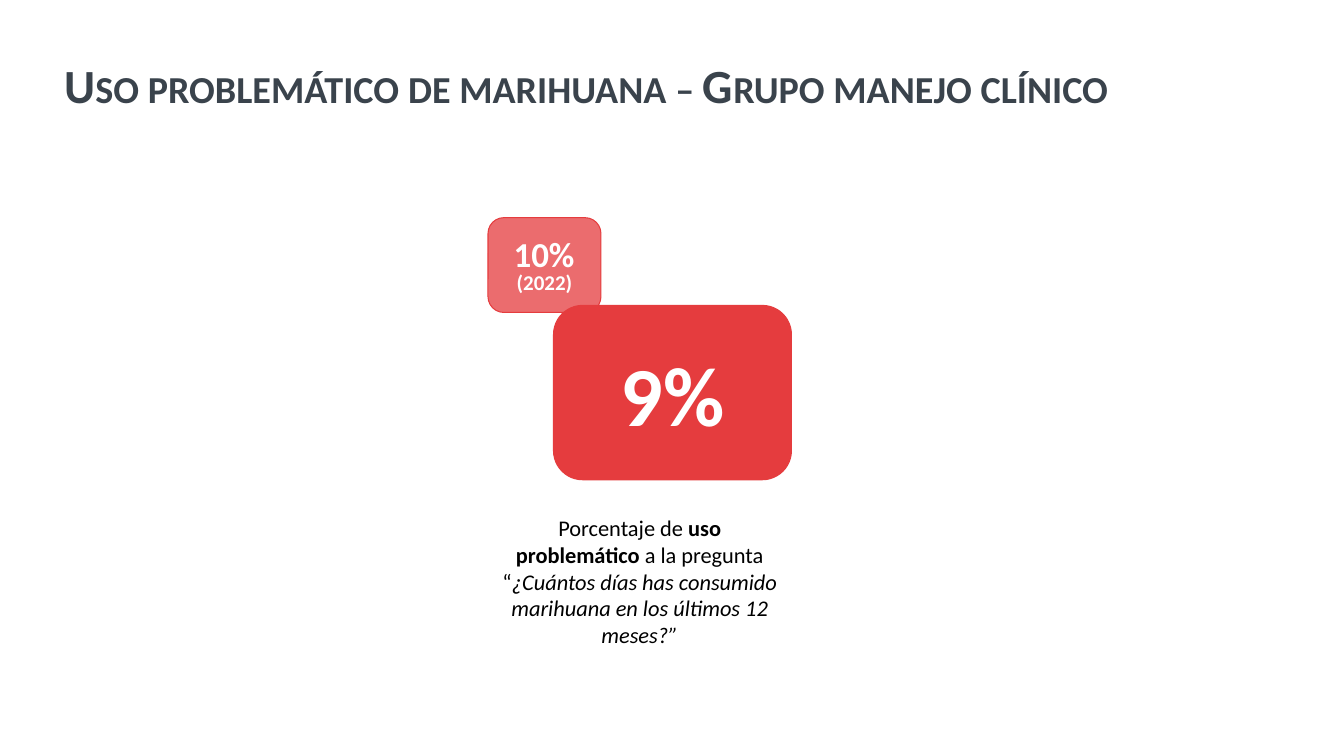
from dataclasses import dataclass

from pptx import Presentation
from pptx.dml.color import RGBColor
from pptx.enum.shapes import MSO_SHAPE as Shape
from pptx.enum.text import MSO_ANCHOR as Anchor, PP_ALIGN as Align
from pptx.oxml.ns import qn
from pptx.util import Pt
from lxml.etree import SubElement

PX = 9144  # EMU per px, 100 px to the inch
FONT = "Calibri"
RED = RGBColor(0xE5, 0x3C, 0x3E)
SLATE = RGBColor(0x3A, 0x43, 0x4C)
WHITE = RGBColor(0xFF, 0xFF, 0xFF)
BLACK = RGBColor(0x00, 0x00, 0x00)


@dataclass
class Run:
    text: str
    size: int
    color: RGBColor
    bold: bool = False
    ital: bool = False
    caps: bool = False


@dataclass
class Block:
    left: int
    top: int
    width: int
    height: int
    runs: list[Run]
    align: Align = Align.CENTER
    anchor: Anchor = Anchor.TOP
    lines: float = 1.0
    foot: int = 5
    wrap: bool = True
    card: bool = False
    alpha: int = 100


def paint(shape, alpha: int) -> None:
    """Give a card its red fill and line."""
    shape.shadow.inherit = False
    shape.adjustments[0] = 0.167
    shape.fill.solid()
    shape.fill.fore_color.rgb = RED
    if alpha < 100:
        color = shape.fill._xPr.find(qn("a:solidFill"))[0]
        SubElement(color, qn("a:alpha")).set("val", str(alpha * 1000))
    shape.line.color.rgb = RED
    shape.line.width = Pt(0.75)


def write(frame, block: Block) -> None:
    """Fill a text frame run by run."""
    frame.word_wrap = block.wrap
    frame.vertical_anchor = block.anchor
    frame.margin_left = frame.margin_right = 10 * PX
    frame.margin_top = 5 * PX
    frame.margin_bottom = block.foot * PX
    para = frame.paragraphs[0]
    para.alignment = block.align
    para.line_spacing = block.lines
    for part in block.runs:
        run = para.add_run()
        run.text = part.text
        font = run.font
        font.name = FONT
        font.size = Pt(part.size)
        font.bold = part.bold
        font.italic = part.ital
        font.color.rgb = part.color
        if part.caps:
            font._element.set("cap", "small")


def draw(slide, block: Block) -> None:
    """Place one block, as a card or as plain text."""
    area = [n * PX for n in (block.left, block.top, block.width, block.height)]
    if block.card:
        shape = slide.shapes.add_shape(Shape.ROUNDED_RECTANGLE, *area)
        paint(shape, block.alpha)
    else:
        shape = slide.shapes.add_textbox(*area)
    write(shape.text_frame, block)


BLOCKS = [
    # Title
    Block(54, 40, 1273, 94,
          [Run("Uso problemático de marihuana – Grupo manejo clínico",
               34, SLATE, bold=True, caps=True)],
          align=Align.LEFT, anchor=Anchor.MIDDLE, lines=0.9),
    # Current share
    Block(549, 303, 236, 173, [Run("9%", 60, WHITE, bold=True)],
          anchor=Anchor.MIDDLE, card=True),
    # Question behind the share
    Block(484, 505, 301, 145, [
        Run("Porcentaje de ", 16, BLACK),
        Run("uso problemático", 16, BLACK, bold=True),
        Run(" a la pregunta “", 16, BLACK),
        Run("¿Cuántos días has consumido marihuana en los últimos 12 meses?”",
            16, BLACK, ital=True),
    ]),
    # Share in 2022: card with the year, then the figure
    Block(484, 216, 112, 94, [Run("(2022)", 15, WHITE, bold=True)],
          anchor=Anchor.BOTTOM, foot=13, card=True, alpha=75),
    Block(497, 226, 85, 34, [Run("10%", 25, WHITE, bold=True)], wrap=False),
]


def main() -> None:
    deck = Presentation()
    deck.slide_width = 1333 * PX
    deck.slide_height = 750 * PX
    slide = deck.slides.add_slide(deck.slide_layouts[6])
    for block in BLOCKS:
        draw(slide, block)
    deck.save("out.pptx")


if __name__ == "__main__":
    main()
